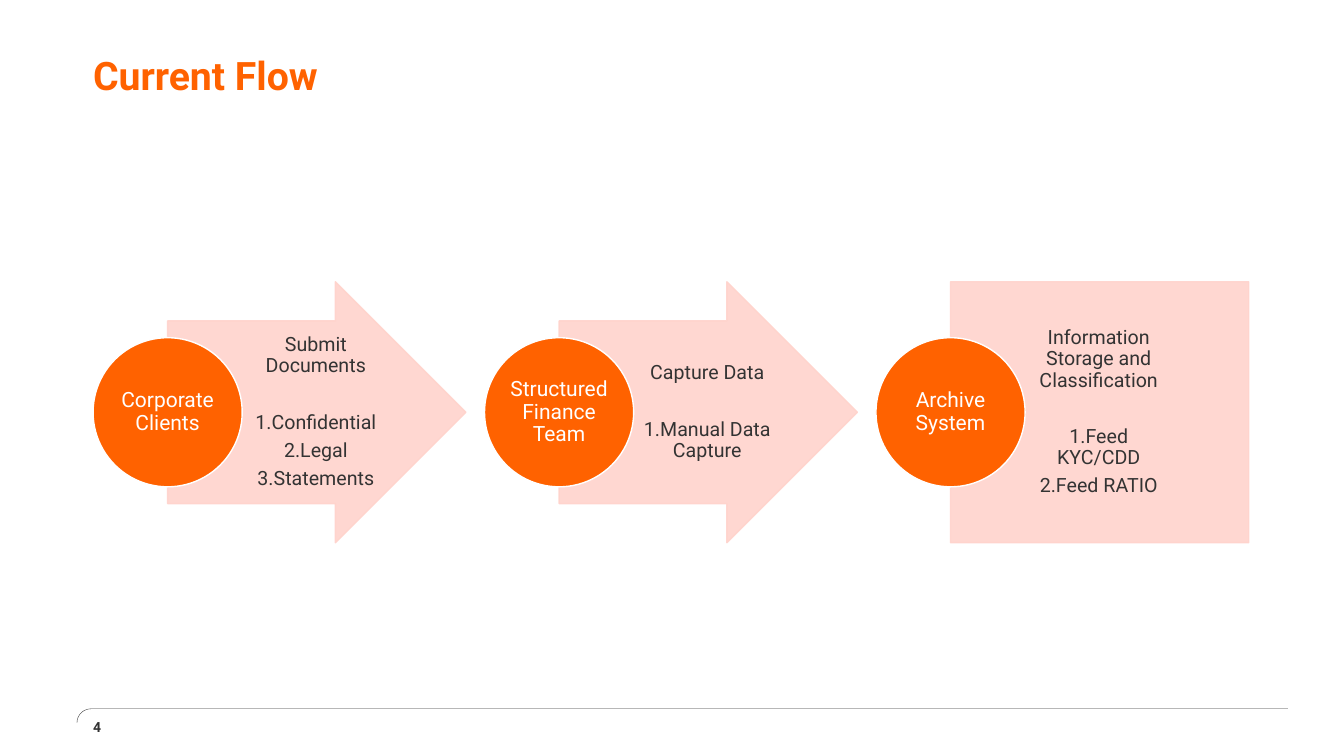
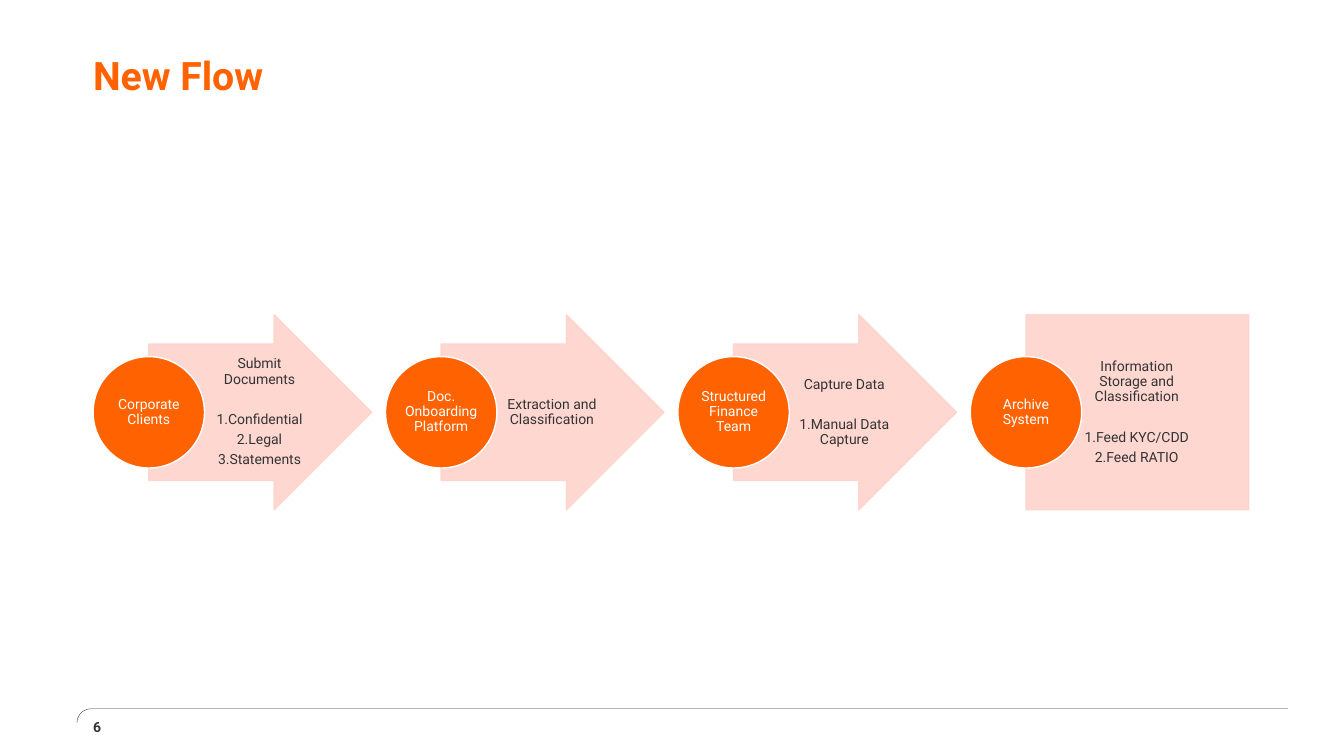
import math

import pptx
import pptx.dml.color
import pptx.enum.shapes
import pptx.enum.text
import pptx.oxml
import pptx.oxml.ns
import pptx.util

Pt = pptx.util.Pt
Shapes = pptx.enum.shapes.MSO_SHAPE
Align = pptx.enum.text.PP_ALIGN
Anchor = pptx.enum.text.MSO_ANCHOR

COLORS = {"orange": "FF6200", "pink": "FFD3CC", "dark": "333333", "white": "FFFFFF"}
FONT = "Roboto"
LEFT, WIDTH = 66.5, 825.5
FLOW_MIDDLE = 294.5

# Proportions of the flow, relative to the circle diameter
STEP = 2.625
ARROW_WIDTH, ARROW_HEIGHT = 2, 1.75
TEXT_WIDTH = 0.975
SHAFT = 0.7


def rgb(name):
    return pptx.dml.color.RGBColor.from_string(COLORS[name])


def set_opacity(properties, percent):
    """Add an alpha value to every solid colour of the shape properties."""
    for color in properties.iter(pptx.oxml.ns.qn("a:srgbClr")):
        color.append(pptx.oxml.parse_xml(
            f'<a:alpha {pptx.oxml.ns.nsdecls("a")} val="{percent * 1000}"/>'))


class Deck:
    def __init__(self):
        self.presentation = pptx.Presentation()
        self.presentation.slide_width = Pt(960)
        self.presentation.slide_height = Pt(540)
        self.slide = None

    def add_slide(self, title, number):
        self.slide = self.presentation.slides.add_slide(
            self.presentation.slide_layouts[6])
        self.footer_line()
        box = self.text_box(LEFT, 22.5, WIDTH, 67)
        self.set_text(box, [title], 28, "orange", bold=True, line_spacing=Pt(28))
        box = self.text_box(LEFT, 512, 39, 15)
        self.set_text(box, [str(number)], 10, "dark", bold=True)

    def footer_line(self):
        """Draw the long rule that ends in a rounded corner at the left."""
        left, top, right, radius = 55, 506.3, 920, 10
        angles = [math.radians(degrees) for degrees in range(0, 91, 10)]
        corner = [(left + radius * (1 - math.sin(angle)),
                   top + radius * (1 - math.cos(angle))) for angle in angles]
        builder = self.slide.shapes.build_freeform(Pt(right), Pt(top), scale=1.0)
        builder.add_line_segments([(Pt(x), Pt(y)) for x, y in corner], close=False)
        rule = builder.convert_to_shape()
        rule.shadow.inherit = False
        rule.fill.background()
        rule.line.color.rgb = rgb("dark")
        rule.line.width = Pt(0.25)

    def shape(self, kind, left, top, width, height, fill, line, opacity=100):
        shape = self.slide.shapes.add_shape(
            kind, Pt(left), Pt(top), Pt(width), Pt(height))
        shape.shadow.inherit = False
        shape.fill.solid()
        shape.fill.fore_color.rgb = rgb(fill)
        shape.line.color.rgb = rgb(line)
        shape.line.width = Pt(1)
        if opacity < 100:
            set_opacity(shape.element.spPr, opacity)
        return shape

    def text_box(self, left, top, width, height):
        return self.slide.shapes.add_textbox(
            Pt(left), Pt(top), Pt(width), Pt(height))

    def set_text(self, shape, lines, size, color, bold=False, align=Align.LEFT,
                 line_spacing=1.0, spacing=0, heading_spacing=0,
                 margins=(0, 0, 0, 0)):
        """Fill a shape with paragraphs; the first may have a larger gap below."""
        frame = shape.text_frame
        frame.word_wrap = True
        frame.vertical_anchor = Anchor.MIDDLE
        (frame.margin_left, frame.margin_top,
         frame.margin_right, frame.margin_bottom) = map(Pt, margins)
        for index, line in enumerate(lines):
            paragraph = frame.add_paragraph() if index else frame.paragraphs[0]
            paragraph.text = line
            paragraph.alignment = align
            paragraph.line_spacing = line_spacing
            is_heading = index == 0 and len(lines) > 1
            paragraph.space_after = Pt(heading_spacing if is_heading else spacing)
            paragraph.font.name = FONT
            paragraph.font.size = Pt(size)
            paragraph.font.bold = bold
            paragraph.font.color.rgb = rgb(color)

    def flow(self, stages, label_size, text_size):
        """Spread the stages over the content width; the last one is a box."""
        diameter = WIDTH / (STEP * (len(stages) - 1) + ARROW_WIDTH + 0.5)
        for index, (label, lines) in enumerate(stages):
            self.stage(LEFT + index * STEP * diameter, diameter, label, lines,
                       label_size, text_size, index == len(stages) - 1)

    def stage(self, left, diameter, label, lines, label_size, text_size, is_last):
        height = ARROW_HEIGHT * diameter
        body = self.shape(
            Shapes.RECTANGLE if is_last else Shapes.RIGHT_ARROW,
            left + diameter / 2, FLOW_MIDDLE - height / 2,
            ARROW_WIDTH * diameter, height, "pink", "pink", opacity=90)
        if not is_last:
            body.adjustments[0] = SHAFT
            body.adjustments[1] = 0.5

        box = self.text_box(left + diameter, FLOW_MIDDLE - SHAFT * height / 2,
                            TEXT_WIDTH * diameter, SHAFT * height)
        self.set_text(box, lines, text_size, "dark", align=Align.CENTER,
                      line_spacing=0.9, spacing=0.35 * text_size,
                      heading_spacing=1.8 * text_size,
                      margins=(0.2 * text_size, 0.7, 0.1 * text_size, 0.7))

        circle = self.shape(Shapes.OVAL, left, FLOW_MIDDLE - diameter / 2,
                            diameter, diameter, "orange", "white")
        self.set_text(circle, [label], label_size, "white", align=Align.CENTER,
                      line_spacing=0.9, spacing=0.35 * label_size,
                      margins=(0.7, 0.7, 0.7, 0.7))


def main():
    clients = ("Corporate Clients",
               ["Submit Documents", "1.Confidential", "2.Legal", "3.Statements"])
    onboarding = ("Doc. Onboarding Platform", ["Extraction and Classification"])
    finance = ("Structured Finance Team", ["Capture Data", "1.Manual Data Capture"])
    storage = ("Archive System",
               ["Information Storage and Classification",
                "1.Feed KYC/CDD", "2.Feed RATIO"])

    deck = Deck()
    deck.add_slide("Current Flow", 4)
    deck.flow([clients, finance, storage], label_size=15, text_size=14)
    deck.add_slide("New Flow", 6)
    deck.flow([clients, onboarding, finance, storage], label_size=10, text_size=10)
    deck.presentation.save("out.pptx")


if __name__ == "__main__":
    main()
